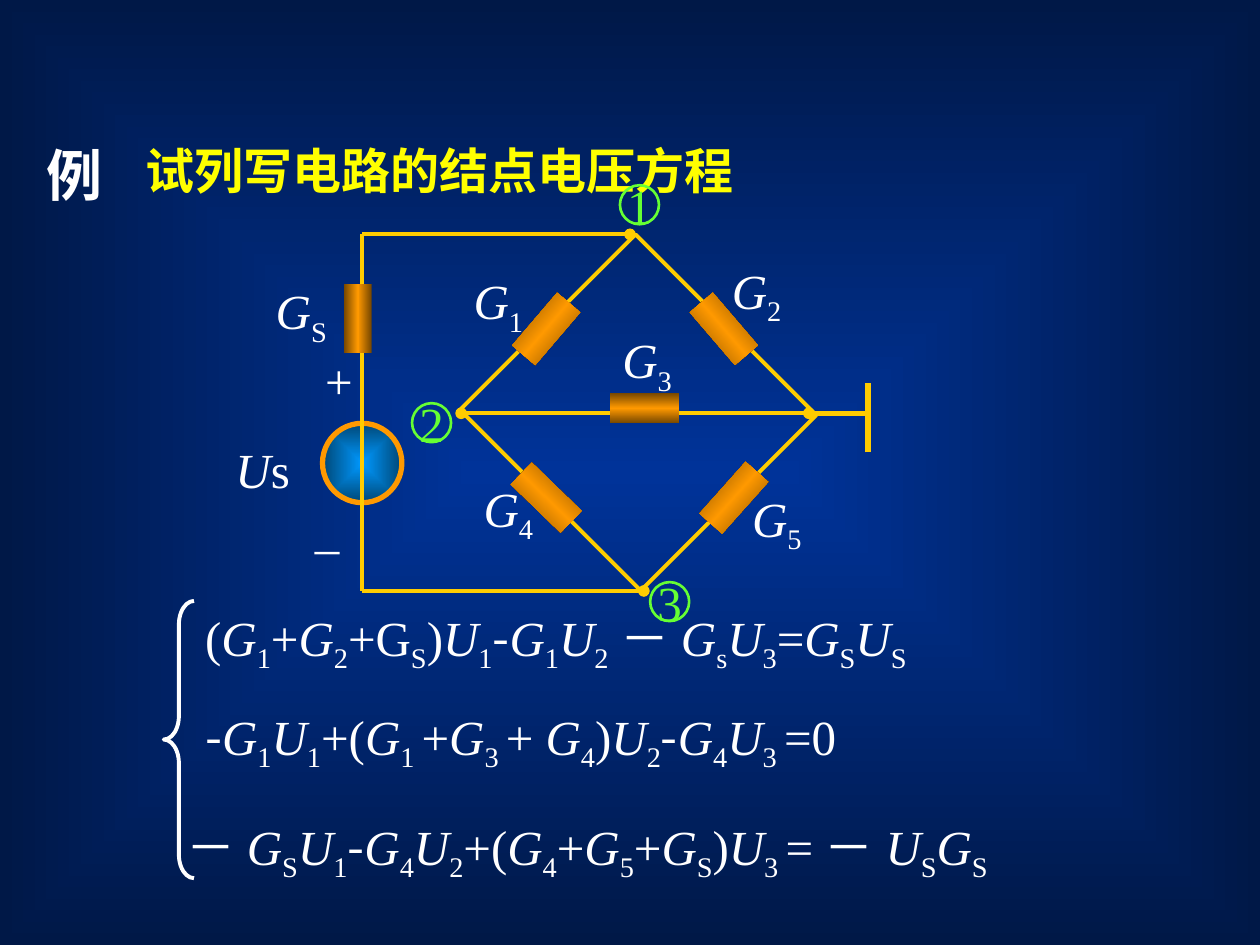
from lxml.etree import SubElement
from pptx import Presentation
from pptx.dml.color import RGBColor
from pptx.enum.shapes import MSO_CONNECTOR as Connector, MSO_SHAPE as Shape
from pptx.enum.text import MSO_ANCHOR as Anchor, MSO_AUTO_SIZE as AutoSize, PP_ALIGN as Align
from pptx.oxml.ns import qn
from pptx.util import Inches, Pt

COLORS = {
    "centre": "003399", "edge": "001847", "white": "FFFFFF", "title": "FFFF00",
    "wire": "FFCC00", "orange": "FF9900", "brown": "764700",
    "source": "0099FF", "source_edge": "004776", "node": "66FF33",
}
SERIF, CJK = "Times New Roman", "Noto Sans CJK SC"
RESISTOR_STOPS = ((0, "brown"), (50, "orange"), (100, "brown"))

# Runs are split by "|"; a leading "_" marks a subscript, a lone G or U is italic.
EQUATIONS = [
    (1.53, 4.77, 5.85, "Arial",
     "(|G|_1|+|G|_2|+G|_S|)|U|_1|-|G|_1|U|_2|－|G|_s|U|_3|=|G|_S|U|_S"),
    (1.53, 5.56, 5.55, CJK,
     "-|G|_1|U|_1|+(|G|_1 |+|G|_3 |+ |G|_4|)|U|_2|-|G|_4|U|_3 |=0"),
    (1.38, 6.43, 6.6, CJK,
     "－|G|_S|U|_1|-|G|_4|U|_2|+(|G|_4|+|G|_5|+|G|_S|)|U|_3 |=－|U|_S|G|_S"),
]
LABELS = [
    (4.84, 2.57, 0.61, "G|_3"), (3.66, 2.1, 0.61, "G|_1"), (3.74, 3.75, 0.61, "G|_4"),
    (5.87, 3.83, 0.61, "G|_5"), (5.71, 2.02, 0.61, "G|_2"), (2.09, 2.18, 0.63, "G|_S"),
]
NODES = [(5.16, 4.62, "3"), (4.92, 1.47, "1"), (3.27, 3.2, "2")]
BRIDGE_RESISTORS = [
    (5.55, 3.83, 311.7), (4.06, 3.83, 44.1), (5.47, 2.49, 49.4),
    (4.06, 2.49, 310.5), (4.84, 3.12, 0),
]


def color(name):
    return RGBColor.from_string(COLORS[name])


def set_gradient(fill, parent, stops, angle=None):
    """Fill linearly at an angle, or outward from the centre without one."""
    fill.gradient()
    gradient = next(parent.iter(qn("a:gradFill")))
    for child in list(gradient):
        gradient.remove(child)
    stop_list = SubElement(gradient, qn("a:gsLst"))
    for position, name in stops:
        stop = SubElement(stop_list, qn("a:gs"), pos=str(position * 1000))
        SubElement(stop, qn("a:srgbClr"), val=COLORS[name])
    if angle is None:
        radial = SubElement(gradient, qn("a:path"), path="shape")
        SubElement(radial, qn("a:fillToRect"), l="50000", t="50000", r="50000", b="50000")
    else:
        SubElement(gradient, qn("a:lin"), ang=str(angle * 60000), scaled="1")


def add_runs(paragraph, markup, ink="white", size=28, bold=False, minus_font=CJK):
    for token in markup.split("|"):
        subscript = len(token) > 1 and token.startswith("_")
        run = paragraph.add_run()
        run.text = token[1:] if subscript else token
        font = run.font
        font.size, font.bold, font.italic = Pt(size), bold, token in ("G", "U")
        font.color.rgb = color(ink)
        font.name = {"-": CJK, "－": minus_font}.get(token, SERIF)
        properties = run._r.get_or_add_rPr()
        SubElement(properties, qn("a:ea"), typeface=CJK)
        if subscript:
            properties.set("baseline", "-25000")


def add_text(slide, left, top, width, markup, height=0.57, wrap=False, centred=False, **style):
    box = slide.shapes.add_textbox(Inches(left), Inches(top), Inches(width), Inches(height))
    frame = box.text_frame
    frame.word_wrap = wrap
    frame.auto_size = AutoSize.SHAPE_TO_FIT_TEXT
    if centred:
        frame.vertical_anchor = Anchor.MIDDLE
        frame.paragraphs[0].alignment = Align.CENTER
    add_runs(frame.paragraphs[0], markup, **style)


def add_shape(slide, kind, left, top, width, height, line=None, weight=2.25, rotation=0):
    shape = slide.shapes.add_shape(kind, Inches(left), Inches(top), Inches(width), Inches(height))
    shape.shadow.inherit = False
    shape.rotation = rotation
    shape.fill.background()
    if line:
        shape.line.color.rgb = color(line)
        shape.line.width = Pt(weight)
    else:
        shape.line.fill.background()
    return shape


def add_resistor(slide, left, top, width, height, angle, rotation=0):
    shape = add_shape(slide, Shape.RECTANGLE, left, top, width, height, rotation=rotation)
    set_gradient(shape.fill, shape._element.spPr, RESISTOR_STOPS, angle)


def add_node(slide, left, top, number):
    circle = add_shape(slide, Shape.OVAL, left, top, 0.31, 0.31, "node", 1.5)
    frame = circle.text_frame
    frame.word_wrap = False
    frame.vertical_anchor = Anchor.MIDDLE
    frame.paragraphs[0].alignment = Align.CENTER
    add_runs(frame.paragraphs[0], number, ink="node")


def add_wire(slide, x1, y1, x2, y2, weight=2.25, dots=()):
    """Draw a wire; dots names the ends (headEnd, tailEnd) that carry a junction."""
    wire = slide.shapes.add_connector(
        Connector.STRAIGHT, Inches(x1), Inches(y1), Inches(x2), Inches(y2))
    wire.line.color.rgb = color("wire")
    wire.line.width = Pt(weight)
    for end in dots:
        SubElement(wire.line._get_or_add_ln(), qn("a:" + end), type="oval")
    SubElement(wire._element.spPr, qn("a:effectLst"))


def add_circuit(slide):
    source = add_shape(slide, Shape.OVAL, 2.56, 3.36, 0.63, 0.63, "orange", 3)
    set_gradient(source.fill, source._element.spPr, ((0, "source"), (100, "source_edge")))
    add_wire(slide, 2.87, 1.86, 2.87, 4.69)
    add_resistor(slide, 2.73, 2.25, 0.22, 0.55, angle=0)
    add_text(slide, 1.77, 3.44, 0.95, "U|s", wrap=True)
    add_shape(slide, Shape.RECTANGLE, 4.05, 2.29, 2.03, 1.97, "wire", rotation=45)
    add_wire(slide, 6.89, 3.59, 6.89, 3.04, 3)
    add_wire(slide, 6.42, 3.28, 6.91, 3.28, 3)
    for label in LABELS:
        add_text(slide, *label)
    add_wire(slide, 5.11, 4.69, 2.87, 4.69, dots=["headEnd"])
    add_wire(slide, 5, 1.86, 2.87, 1.86, dots=["headEnd"])
    add_text(slide, 2.48, 2.73, 0.42, "+", centred=True)
    add_text(slide, 2.4, 3.91, 0.37, "_", wrap=True, centred=True)
    for node in NODES:
        add_node(slide, *node)
    add_wire(slide, 3.66, 3.28, 6.42, 3.28, dots=["headEnd", "tailEnd"])
    for left, top, rotation in BRIDGE_RESISTORS:
        add_resistor(slide, left, top, 0.55, 0.24, 90, rotation)


def main():
    presentation = Presentation()
    presentation.slide_width, presentation.slide_height = Inches(10), Inches(7.5)
    slide = presentation.slides.add_slide(presentation.slide_layouts[6])
    set_gradient(slide.background.fill, slide._element, ((0, "centre"), (100, "edge")))
    add_text(slide, 1.06, 1.07, 6.3, "试列写电路的结点电压方程", wrap=True, ink="title", bold=True)
    for left, top, width, minus_font, markup in EQUATIONS:
        add_text(slide, left, top, width, markup, minus_font=minus_font)
    add_text(slide, 0.27, 1.07, 0.72, "例", height=0.63, wrap=True, size=32, bold=True)
    add_circuit(slide)
    brace = add_shape(slide, Shape.LEFT_BRACE, 1.3, 4.77, 0.24, 2.2, "white")
    brace.adjustments[0] = 0.78
    presentation.save("out.pptx")


if __name__ == "__main__":
    main()
